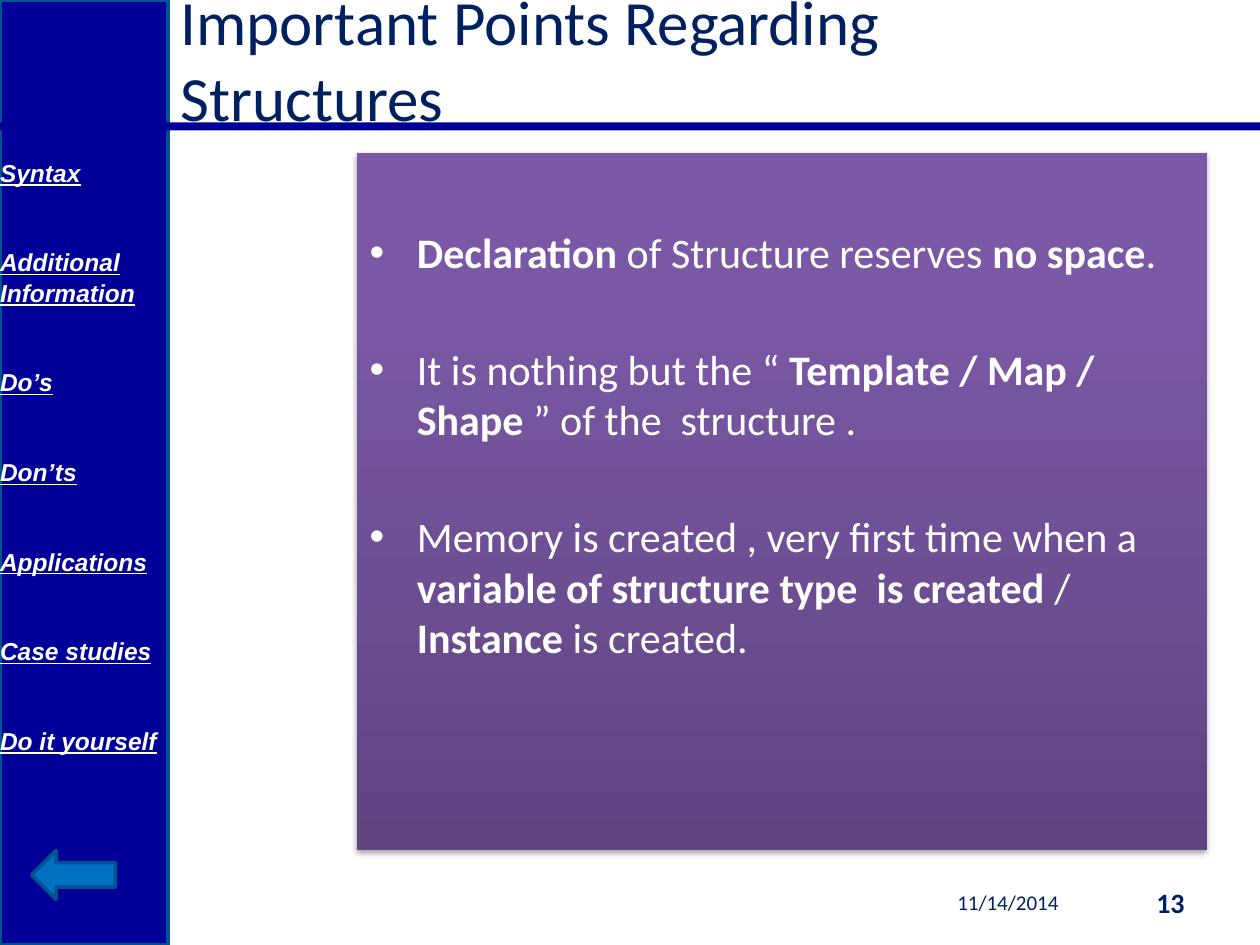
"""Build the slide on important points regarding structures."""
from dataclasses import dataclass
from typing import Optional

from pptx import Presentation
from pptx.dml.color import RGBColor
from pptx.enum.shapes import MSO_SHAPE
from pptx.enum.text import MSO_ANCHOR, MSO_AUTO_SIZE, PP_ALIGN
from pptx.oxml import parse_xml
from pptx.oxml.ns import nsdecls
from pptx.util import Pt

COLORS = {
    "navy": "000099", "edge": "00538E", "arrow": "0070C0", "ink": "002060",
    "white": "FFFFFF", "shadow": "000000",
    "deep": "5F4480", "mid": "7B58A6", "light": "7C57A8",
}


@dataclass
class Box:
    left: float
    top: float
    width: float
    height: float


@dataclass
class Panel:
    box: Box
    kind: MSO_SHAPE
    fill: str
    line: Optional[str] = None


@dataclass
class Style:
    size: float
    color: str
    font: str = "Calibri"
    bold: bool = False
    italic: bool = False
    underline: bool = False


@dataclass
class Footer:
    box: Box
    text: str
    style: Style


SIDEBAR = Panel(Box(0, 0, 96, 540), MSO_SHAPE.RECTANGLE, "navy", "edge")
RULE = Panel(Box(0, 70, 720, 4.5), MSO_SHAPE.RECTANGLE, "navy")
BACK = Panel(Box(18, 486, 48, 28), MSO_SHAPE.LEFT_ARROW, "arrow", "edge")

FOOTERS = [
    Footer(Box(504, 501, 108, 29), "11/14/2014", Style(12, "ink")),
    Footer(Box(630, 501, 54, 29), "13", Style(16, "ink", bold=True)),
]
MENU = ["Syntax", "Additional Information", "Do’s", "Don’ts",
        "Applications", "Case studies", "Do it yourself"]
POINTS = [
    [("Declaration ", True), ("of Structure reserves ", False),
     ("no space", True), (".", False)],
    [("It is nothing but the “", False), (" Template / Map / Shape ", True),
     ("” of the\u00a0 structure .", False)],
    [("Memory is created , very first time when a ", False),
     ("variable of structure type  is created", True), (" / ", False),
     ("Instance", True), (" is created.", False)],
]


def rgb(name: str) -> RGBColor:
    return RGBColor.from_string(COLORS[name])


def place(sp, box: Box) -> None:
    sp.left, sp.top = Pt(box.left), Pt(box.top)
    sp.width, sp.height = Pt(box.width), Pt(box.height)


def add_run(p, text: str, style: Style) -> None:
    r = p.add_run()
    r.text = text
    r.font.name, r.font.size = style.font, Pt(style.size)
    r.font.bold, r.font.italic = style.bold, style.italic
    r.font.underline = style.underline
    r.font.color.rgb = rgb(style.color)


def next_paragraph(tf, index: int, gap: float):
    if index == 0:
        p = tf.paragraphs[0]
        p.space_before = Pt(0)
    else:
        p = tf.add_paragraph()
        p.space_before = Pt(gap)
    return p


def add_panel(slide, panel: Panel):
    b = panel.box
    sp = slide.shapes.add_shape(panel.kind, Pt(b.left), Pt(b.top), Pt(b.width), Pt(b.height))
    sp.shadow.inherit = False
    sp.fill.solid()
    sp.fill.fore_color.rgb = rgb(panel.fill)
    if panel.line:
        sp.line.color.rgb = rgb(panel.line)
        sp.line.width = Pt(2)
    else:
        sp.line.fill.background()
    return sp


def add_text(slide, box: Box):
    sp = slide.shapes.add_textbox(Pt(box.left), Pt(box.top), Pt(box.width), Pt(box.height))
    sp.text_frame.word_wrap = True
    return sp.text_frame


def add_footer(slide, footer: Footer) -> None:
    tf = add_text(slide, footer.box)
    tf.vertical_anchor = MSO_ANCHOR.MIDDLE
    p = tf.paragraphs[0]
    p.alignment = PP_ALIGN.RIGHT
    add_run(p, footer.text, footer.style)


def add_menu(slide) -> None:
    tf = add_text(slide, Box(0, 86, 101, 346))
    tf.margin_left = 0
    style = Style(14, "white", "Arial", bold=True, italic=True, underline=True)
    for i, text in enumerate(MENU):
        p = next_paragraph(tf, i, 33.7)
        p.line_spacing = 1.04
        add_run(p, text, style)


def fill_title(sp) -> None:
    place(sp, Box(96, 12, 522, 43))
    tf = sp.text_frame
    tf.auto_size = MSO_AUTO_SIZE.NONE
    tf.vertical_anchor = MSO_ANCHOR.MIDDLE
    p = tf.paragraphs[0]
    p.alignment = PP_ALIGN.LEFT
    add_run(p, "Important Points Regarding Structures", Style(36, "ink"))


def fill_body(sp) -> None:
    place(sp, Box(204, 87.5, 486, 398))
    stops = "".join(
        f'<a:gs pos="{pos * 1000}"><a:srgbClr val="{COLORS[name]}"/></a:gs>'
        for pos, name in [(0, "deep"), (80, "mid"), (100, "light")])
    spPr = sp.element.spPr
    spPr.append(parse_xml(
        f'<a:gradFill {nsdecls("a")} rotWithShape="1"><a:gsLst>{stops}</a:gsLst>'
        '<a:lin ang="16200000" scaled="0"/></a:gradFill>'))
    spPr.append(parse_xml(
        f'<a:effectLst {nsdecls("a")}><a:outerShdw blurRad="{Pt(3.1)}" dist="{Pt(1.8)}" '
        f'dir="5400000" rotWithShape="0"><a:srgbClr val="{COLORS["shadow"]}">'
        '<a:alpha val="35000"/></a:srgbClr></a:outerShdw></a:effectLst>'))
    tf = sp.text_frame
    tf.auto_size = MSO_AUTO_SIZE.NONE
    tf.margin_top = Pt(42)
    for i, point in enumerate(POINTS):
        p = next_paragraph(tf, i, 38)
        for text, bold in point:
            add_run(p, text, Style(24, "white", bold=bold))


def main() -> None:
    prs = Presentation()
    prs.slide_width, prs.slide_height = Pt(720), Pt(540)
    slide = prs.slides.add_slide(prs.slide_layouts[1])
    title, body = slide.shapes.title, slide.placeholders[1]
    fill_title(title)
    fill_body(body)
    title.element.addprevious(body.element)
    for panel in (SIDEBAR, RULE):
        body.element.addprevious(add_panel(slide, panel).element)
    for footer in FOOTERS:
        add_footer(slide, footer)
    add_panel(slide, BACK)
    add_menu(slide)
    prs.save("out.pptx")


if __name__ == "__main__":
    main()
